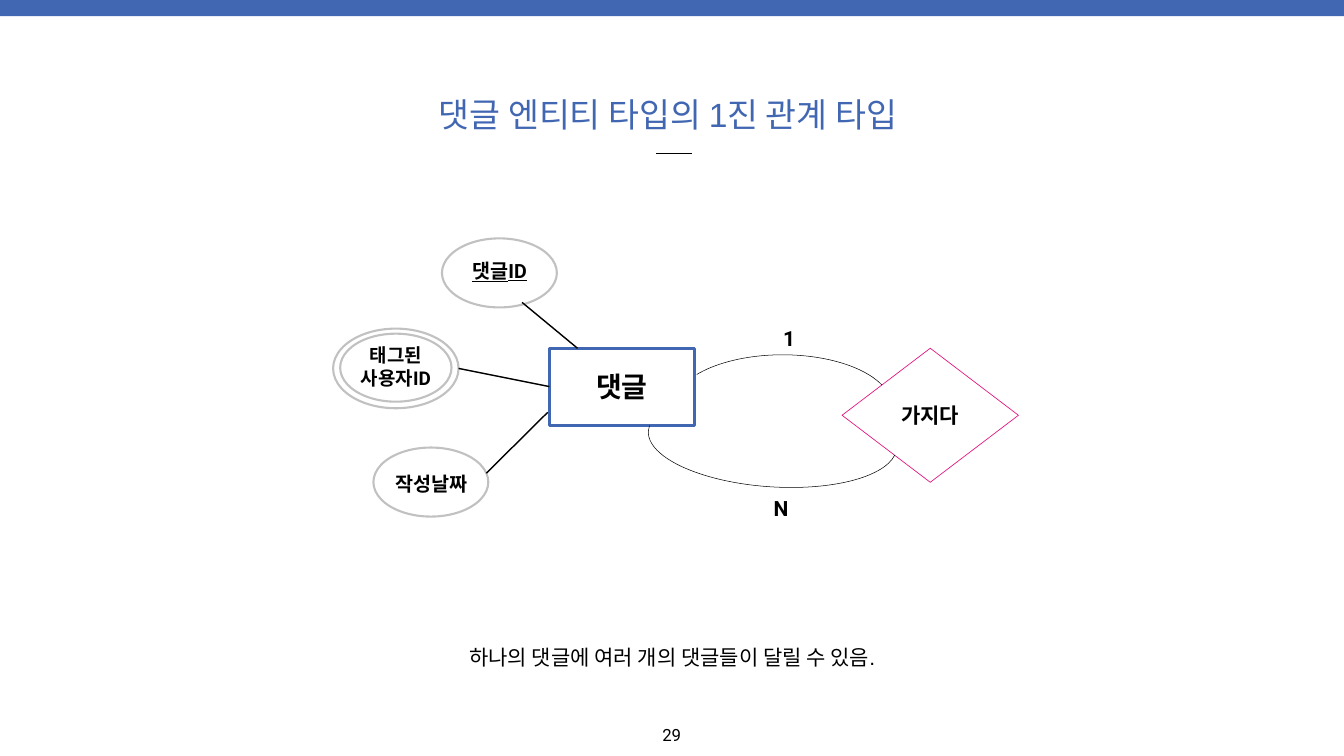
from lxml import etree
from pptx import Presentation
from pptx import util as u
from pptx.dml.color import RGBColor
from pptx.enum import shapes, text
from pptx.oxml import ns

BLUE, PINK, GREY = "4267B2", "E4177D", "C1C1C1"
BLACK, WHITE = "000000", "FFFFFF"
KIND = shapes.MSO_SHAPE


def colour(value):
    return RGBColor.from_string(value)


def inches(*lengths):
    return [u.Inches(length) for length in lengths]


def write(box, words, size=28, font="Roboto", tint=BLACK, bold=False,
          underline=False, wrap=True, anchor=text.MSO_ANCHOR.MIDDLE):
    """Put one centred, formatted paragraph in a box."""
    frame = box.text_frame
    frame.word_wrap = wrap
    frame.auto_size = text.MSO_AUTO_SIZE.SHAPE_TO_FIT_TEXT
    frame.vertical_anchor = anchor
    frame.margin_left = frame.margin_right = u.Inches(0.06)
    frame.margin_top = frame.margin_bottom = u.Inches(0.06)
    para = frame.paragraphs[0]
    para.alignment = text.PP_ALIGN.CENTER
    span = para.add_run()
    span.text = words
    span.font.size = u.Pt(size)
    span.font.name = font
    span.font.bold = bold
    span.font.underline = underline
    span.font.color.rgb = colour(tint)


def add_text(page, place, words, **style):
    write(page.shapes.add_textbox(*inches(*place)), words, **style)


def add_figure(page, kind, place, fill=WHITE, line=None, width=1):
    figure = page.shapes.add_shape(kind, *inches(*place))
    figure.shadow.inherit = False
    if fill:
        figure.fill.solid()
        figure.fill.fore_color.rgb = colour(fill)
    else:
        figure.fill.background()
    if line:
        figure.line.color.rgb = colour(line)
        figure.line.width = u.Pt(width)
    else:
        figure.line.fill.background()
    return figure


def add_attribute(page, place):
    add_figure(page, KIND.OVAL, place, line=GREY, width=3)


def add_arc(page, place, start, end, flip, rotation=0):
    """Draw an arc between two angles in degrees, mirrored along one axis."""
    arc = add_figure(page, KIND.ARC, place, fill=None, line=BLACK, width=0.75)
    # Angles are stored in 60000ths of a degree, adjustments in 100000ths
    arc.adjustments[0] = start * 0.6
    arc.adjustments[1] = end * 0.6
    arc.rotation = rotation
    arc.element.spPr.xfrm.set(flip, "1")


def add_line(page, start, end):
    line = page.shapes.add_connector(
        shapes.MSO_CONNECTOR.STRAIGHT, *inches(*start, *end))
    line.line.color.rgb = colour(BLACK)
    line.line.width = u.Pt(2)
    etree.SubElement(line.element.spPr, ns.qn("a:effectLst"))


def add_heading(page):
    add_figure(page, KIND.RECTANGLE, (0, -0.03, 26.67, 0.35), fill=BLUE)
    title = page.shapes.title
    title.left, title.top, title.width, title.height = inches(
        8.27, 1.81, 10.12, 0.92)
    write(title, "댓글 엔티티 타입의 1진 관계 타입 ", size=48, font="Arial",
          tint=BLUE, wrap=False)
    add_line(page, (13.02, 3.05), (13.73, 3.05))


def add_relationship(page):
    # Entity and relationship
    add_figure(page, KIND.RECTANGLE, (10.9, 6.91, 2.88, 1.53),
               line=BLUE, width=4.5)
    add_text(page, (11.05, 7.27, 2.58, 0.79), "댓글", size=40, bold=True)
    add_figure(page, KIND.DIAMOND, (16.71, 6.91, 3.5, 2.66), line=PINK)
    add_text(page, (17.45, 7.93, 2.02, 0.62), "가지다", size=30, bold=True)

    # Arcs with their cardinalities
    add_arc(page, (13.37, 7.04, 4.32, 2.03), 191.8, 339.9, "flipH")
    add_arc(page, (12.86, 7.78, 4.94, 1.88), 177.45, 356.59, "flipV", 3.9)
    for place, words in (((15.48, 6.39, 0.35, 0.62), "1"),
                         ((15.29, 9.78, 0.42, 0.62), "N")):
        add_text(page, place, words, size=30, bold=True, wrap=False)


def add_attributes(page):
    # Multivalued attribute: double ellipse
    add_attribute(page, (6.61, 6.52, 2.49, 1.58))
    add_attribute(page, (6.75, 6.62, 2.21, 1.35))
    add_text(page, (7.03, 6.76, 1.65, 1.02), "태그된 사용자ID",
             size=27, bold=True)

    # Key attribute: underlined
    add_attribute(page, (8.77, 4.73, 2.28, 1.37))
    add_text(page, (8.98, 5.08, 1.87, 0.58), "댓글ID",
             bold=True, underline=True)

    # Simple attribute
    add_attribute(page, (7.41, 8.88, 2.28, 1.37))
    add_text(page, (7.59, 9.3, 1.93, 0.58), "작성날짜", bold=True)

    # Links to the entity
    for start, end in (((10.36, 6), (11.46, 6.91)),
                       ((9.1, 7.31), (10.9, 7.67)),
                       ((9.65, 9.39), (10.87, 8.18))):
        add_line(page, start, end)


def main():
    deck = Presentation()
    deck.slide_width, deck.slide_height = inches(26.67, 15)
    page = deck.slides.add_slide(deck.slide_layouts.get_by_name("Title Only"))

    add_heading(page)
    add_relationship(page)
    add_attributes(page)

    # Caption and page number
    add_text(page, (8.9, 12.72, 8.88, 0.62),
             "하나의 댓글에 여러 개의 댓글들이 달릴 수 있음.",
             size=30, font="Arial", wrap=False)
    add_text(page, (13.08, 14.31, 0.5, 0.5), "29", size=24, wrap=False,
             anchor=text.MSO_ANCHOR.TOP)

    deck.save("out.pptx")


if __name__ == "__main__":
    main()
